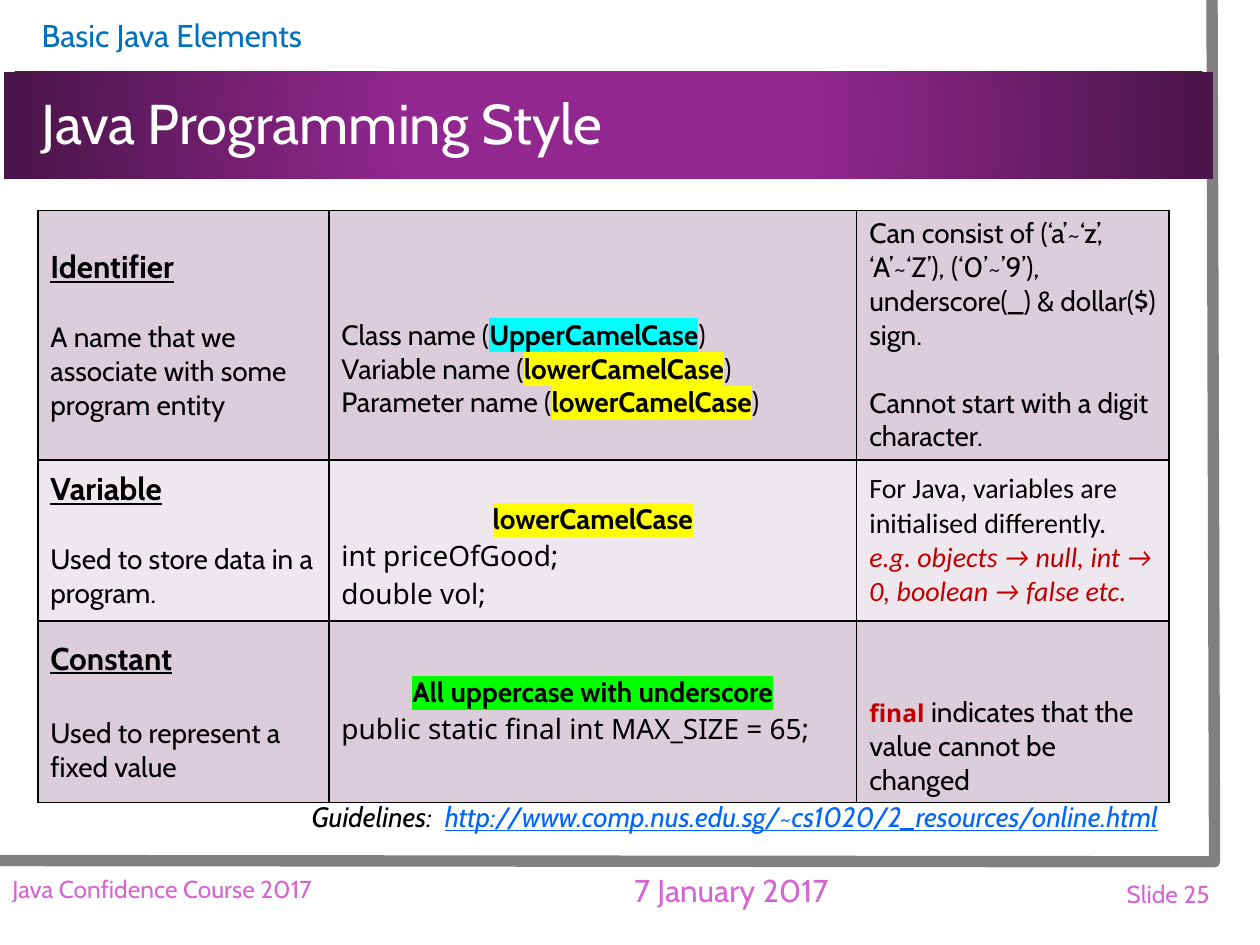
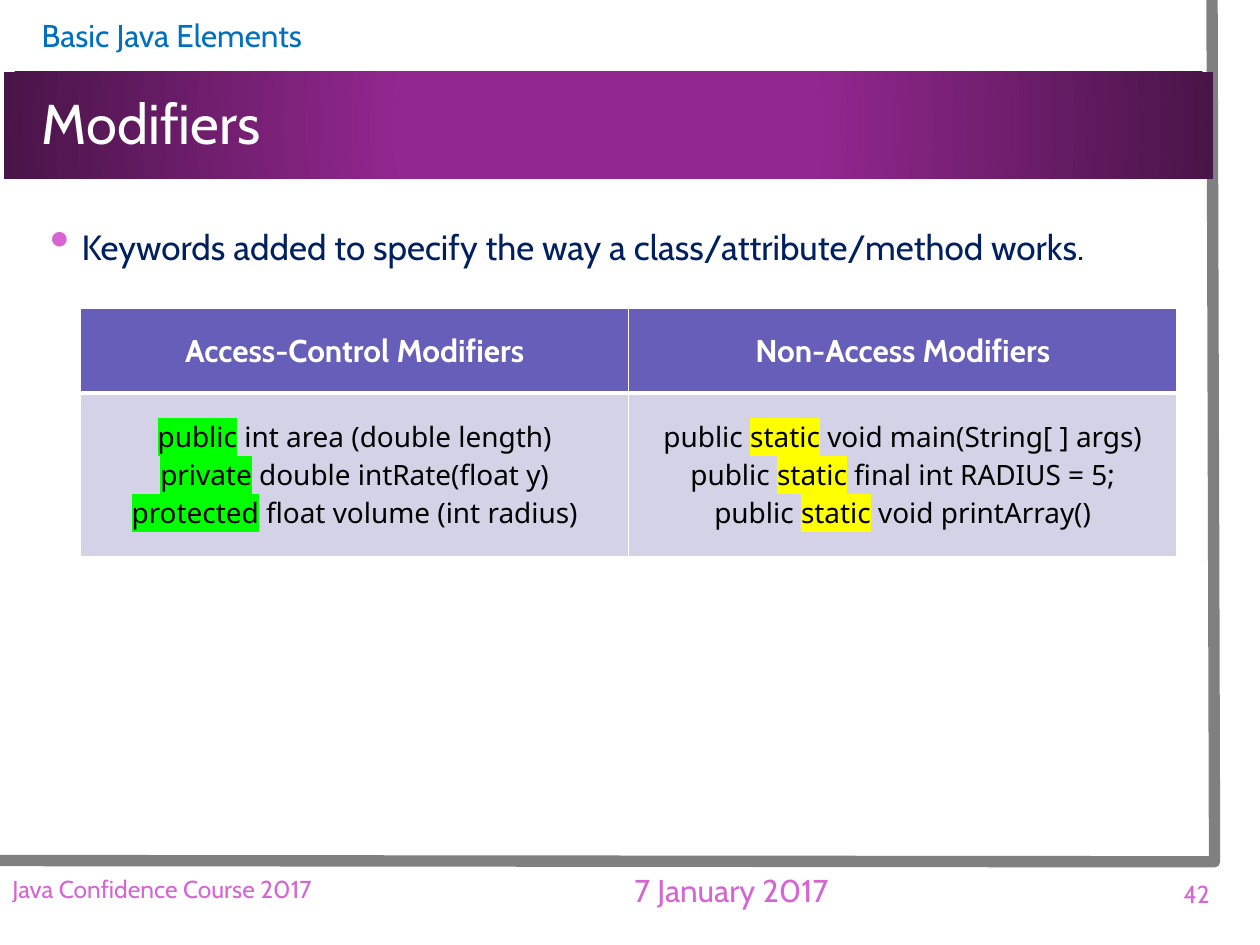
"""Two slides on Java style and modifiers."""
from lxml.etree import SubElement
from pptx import Presentation
from pptx.dml.color import RGBColor as Rgb
from pptx.enum.shapes import MSO_SHAPE as Shape
from pptx.enum.text import MSO_ANCHOR as Anchor, PP_ALIGN as Align
from pptx.oxml import parse_xml
from pptx.oxml.ns import nsdecls, qn
from pptx.util import Inches, Pt

COLORS = {
    "black": "000000", "white": "FFFFFF", "frame": "808080",
    "band": "92278F", "band_edge": "491447", "topic": "0070C0",
    "footer": "D665D3", "body": "002060", "link": "0066FF", "red": "C00000",
    "row_dark": "DCCDDB", "row_light": "EEE8EE",
    "header": "665EB8", "modifiers": "D3D2E6",
    "cyan": "00FFFF", "yellow": "FFFF00", "green": "00FF00",
}
BASE = {"name": "Cabin", "size": Pt(16), "color": "black",
        "bold": False, "italic": False, "underline": False}
TERM = {"size": Pt(18), "bold": True, "underline": True}
CODE = {"name": "Noto Sans"}
FOOTER = {"size": Pt(14), "color": "footer"}
COLUMN_HEAD = {"size": Pt(18), "color": "white", "bold": True}
BLANK_LINE = 19.5
LINE_INCHES = 0.27
HEADING_INSETS = {"margin_left": Inches(0.3), "margin_right": Inches(0.1)}


def assign(target, values):
    """Set every attribute named in values on the target."""
    for key, value in values.items():
        setattr(target, key, value)


def rgb(color):
    """Return the colour for a palette key."""
    return Rgb.from_string(COLORS[color])


def add_color(parent, tag, color):
    """Append a colour element to the parent and return it."""
    holder = SubElement(parent, qn(tag))
    SubElement(holder, qn("a:srgbClr"), val=COLORS[color])
    return holder


def marked(text, color, **style):
    """Return a run with a highlight."""
    return text, {"highlight": color, **style}


def line(*runs, **layout):
    """Return a paragraph of runs and its layout values."""
    return runs, layout


def term(name, meaning, gap=BLANK_LINE):
    """Return the paragraphs of a term and its meaning."""
    return [line((name, TERM), space_after=Pt(gap)), line((meaning, {}))]


def naming(label, case, color):
    """Return a paragraph that gives the letter case of a kind of name."""
    return line((f"{label} name (", {}), marked(case, color, bold=True), (")", {}))


def code(before, keyword, after, color):
    """Return a centred code line with one highlighted keyword."""
    return line((before, CODE), marked(keyword, color, **CODE), (after, CODE),
                alignment=Align.CENTER)


def write(frame, paragraphs, bullet=None):
    """Write paragraphs of styled runs into a text frame."""
    for index, (runs, layout) in enumerate(paragraphs):
        paragraph = frame.paragraphs[0] if index == 0 else frame.add_paragraph()
        assign(paragraph, layout)
        if bullet:
            add_bullet(paragraph, bullet)
        for text, style in runs:
            if text:
                add_run(paragraph, text, {**BASE, **style})


def add_run(paragraph, text, style):
    """Add one styled run, with a highlight where the style asks for one."""
    run = paragraph.add_run()
    run.text = text
    run.font.color.rgb = rgb(style["color"])
    assign(run.font, {key: value for key, value in style.items()
                      if key not in ("color", "highlight")})
    if "highlight" in style:
        properties = run.font._element
        highlight = add_color(properties, "a:highlight", style["highlight"])
        properties.find(qn("a:solidFill")).addnext(highlight)


def add_bullet(paragraph, color):
    """Give a paragraph a hanging round bullet."""
    properties = paragraph._p.get_or_add_pPr()
    properties.set("marL", str(Inches(0.25)))
    properties.set("indent", str(-Inches(0.25)))
    add_color(properties, "a:buClr", color)
    SubElement(properties, qn("a:buSzPct"), val="160000")
    SubElement(properties, qn("a:buChar"), char="•")


def add_text(slide, box, paragraphs, anchor=Anchor.MIDDLE, bullet=None, insets=None):
    """Add a wrapping text box."""
    frame = slide.shapes.add_textbox(*map(Inches, box)).text_frame
    assign(frame, {"word_wrap": True, "vertical_anchor": anchor, **(insets or {})})
    write(frame, paragraphs, bullet)


def add_frame(slide, box):
    """Draw the grey rule along the right and lower sides of the box."""
    left, top, width, height = (round(value * 100) for value in box)
    right, bottom = left + width, top + height
    builder = slide.shapes.build_freeform(right - 2, top, Inches(0.01))
    builder.add_line_segments([(right, bottom), (left, bottom - 1)], close=False)
    rule = builder.convert_to_shape()
    rule.shadow.inherit = False
    rule.fill.background()
    rule.line.color.rgb = rgb("frame")
    rule.line.width = Pt(6.5)


def add_heading(slide, box, title):
    """Draw the topic line, the gradient band and the slide title."""
    left, top, width, height = box
    band = slide.shapes.add_shape(Shape.RECTANGLE, *map(Inches, box))
    band.shadow.inherit = False
    band.line.fill.background()
    band.fill.background()
    stops = "".join(
        f'<a:gs pos="{position}"><a:srgbClr val="{COLORS[color]}"/></a:gs>'
        for position, color in ((34000, "band"), (100000, "band_edge")))
    gradient = parse_xml(
        f'<a:gradFill {nsdecls("a")} rotWithShape="1"><a:gsLst>{stops}</a:gsLst>'
        '<a:path path="circle"><a:fillToRect l="50000" t="50000" r="50000" b="50000"/>'
        '</a:path></a:gradFill>')
    properties = band._element.spPr
    properties.replace(properties.find(qn("a:noFill")), gradient)
    topic = ("Basic Java Elements", {"size": Pt(18), "color": "topic"})
    add_text(slide, (left, top - 0.49, width, 0.4), [line(topic)], insets=HEADING_INSETS)
    heading = (title, {"size": Pt(32), "color": "white"})
    add_text(slide, (left, top + 0.01, width, height - 0.01),
             [line(heading, line_spacing=0.9)], insets=HEADING_INSETS)


def add_footer(slide, box, number):
    """Write the course, the date and the slide number in one row."""
    left, top, width, height = box
    parts = (
        ("Java Confidence Course 2017", 0, 0, 4.23, 0.41, Align.LEFT, 14),
        ("7 January 2017", 4.23, 0, 3.15, 0.43, Align.CENTER, 18),
        (number, 7.39, 0.01, width - 7.39, height, Align.RIGHT, 14),
    )
    for text, x, y, part_width, part_height, align, size in parts:
        add_text(slide, (left + x, top + y, part_width, part_height),
                 [line((text, {**FOOTER, "size": Pt(size)}), alignment=align)])


def add_base(deck, title, number):
    """Add a slide with the frame, heading and footer."""
    slide = deck.slides.add_slide(deck.slide_layouts[6])
    add_frame(slide, (-0.02, 0, 9.66, 6.84))
    add_heading(slide, (0.03, 0.57, 9.6, 0.85), title)
    add_footer(slide, (0, 6.85, 9.7, 0.47), number)
    return slide


def set_borders(cell, color, widths):
    """Draw the cell borders, given as widths in points by side."""
    properties = cell._tc.get_or_add_tcPr()
    for side, width in widths.items():
        border = SubElement(properties, qn(f"a:ln{side}"), w=str(Pt(width)))
        add_color(border, "a:solidFill", color)


def add_grid(slide, box, columns, rows, contents, fills, border, middle=1):
    """Add a table with cells of (paragraphs, lines left free above)."""
    table = slide.shapes.add_table(
        len(rows), len(columns), *map(Inches, box)).table
    assign(table, {"first_row": False, "horz_banding": False})
    for column, width in zip(table.columns, columns):
        column.width = Inches(width)
    for row_index, (row, height) in enumerate(zip(table.rows, rows)):
        row.height = Inches(height)
        widths = {"L": 1, "R": 1, "T": middle if row_index else 1,
                  "B": middle if row_index < len(rows) - 1 else 1}
        for cell, (paragraphs, free) in zip(row.cells, contents[row_index]):
            set_borders(cell, border, widths)
            cell.fill.solid()
            cell.fill.fore_color.rgb = rgb(fills[row_index])
            assign(cell, {"vertical_anchor": Anchor.MIDDLE,
                          "margin_top": Inches(0.05 + free * LINE_INCHES)})
            write(cell.text_frame, paragraphs)


def build_style_slide(deck):
    """Build the slide on naming style."""
    slide = add_base(deck, "Java Programming Style", "Slide 25")
    center = {"alignment": Align.CENTER}
    calibri = {"name": "Calibri"}
    identifier = [
        (term("Identifier", "A name that we associate with some program entity"), 0),
        ([naming("Class", "UpperCamelCase", "cyan"),
          naming("Variable", "lowerCamelCase", "yellow"),
          naming("Parameter", "lowerCamelCase", "yellow")], 2),
        ([line(("Can consist of (‘a’~‘z’, ‘A’~‘Z’), (‘0’~’9’), "
                "underscore(_) & dollar($) sign.", {}), space_after=Pt(BLANK_LINE)),
          line(("Cannot start with a digit character.", {}))], 0),
    ]
    variable = [
        (term("Variable", "Used to store data in a program."), 0),
        ([line(marked("lowerCamelCase", "yellow", bold=True), **center),
          line(("int priceOfGood;", CODE)), line(("double vol;", CODE))], 1),
        ([line(("For Java, variables are initialised differently.", calibri)),
          line(("e.g. objects → null, int → 0, boolean → false etc.",
                {**calibri, "color": "red", "italic": True}))], 0),
    ]
    constant = [
        (term("Constant", "Used to represent a fixed value", 22), 0),
        ([line(marked("All uppercase with underscore", "green", bold=True), **center),
          line(("public static final int MAX_SIZE = 65;", CODE))], 0),
        ([line(("final", {**CODE, "size": Pt(14), "color": "red", "bold": True}),
               (" indicates that the value cannot be changed", {}))], 2),
    ]
    add_grid(slide, (0.3, 1.67, 8.98, 4.7), (2.31, 4.19, 2.48), (1.98, 1.28, 1.44),
             (identifier, variable, constant),
             ("row_dark", "row_light", "row_dark"), "black")
    guidelines = line(
        ("Guidelines:  ", {"italic": True}),
        ("http://www.comp.nus.edu.sg/~cs1020/2_resources/online.html",
         {"italic": True, "color": "link", "underline": True}),
        alignment=Align.RIGHT, line_spacing=1.1)
    add_text(slide, (0.3, 6.27, 8.99, 0.37), [guidelines], Anchor.TOP)


def build_modifiers_slide(deck):
    """Build the slide on modifiers."""
    slide = add_base(deck, "Modifiers", "42")
    statement = ("Keywords added to specify the way a class/attribute/method works.",
                 {"size": Pt(20), "color": "body"})
    add_text(slide, (0.3, 1.67, 9.16, 5.02),
             [line(statement, alignment=Align.JUSTIFY, line_spacing=1.2,
                   space_after=Pt(12))], Anchor.TOP, "footer")
    heads = [([line((head, COLUMN_HEAD), alignment=Align.CENTER)], 0)
             for head in ("Access-Control Modifiers", "Non-Access Modifiers")]
    access = [code("", keyword, rest, "green") for keyword, rest in (
        ("public", " int area (double length)"),
        ("private", " double intRate(float y)"),
        ("protected", " float volume (int radius)"))]
    non_access = [code("public ", "static", rest, "yellow") for rest in (
        " void main(String[ ] args)", " final int RADIUS = 5;", " void printArray()")]
    add_grid(slide, (0.64, 2.45, 8.7, 1.97), (4.35, 4.35), (0.67, 1.3),
             (heads, [(access, 0), (non_access, 0)]),
             ("header", "modifiers"), "white", 3)


def main():
    """Build and save the deck."""
    deck = Presentation()
    assign(deck, {"slide_width": Inches(10), "slide_height": Inches(7.5)})
    build_style_slide(deck)
    build_modifiers_slide(deck)
    deck.save("out.pptx")


if __name__ == "__main__":
    main()
